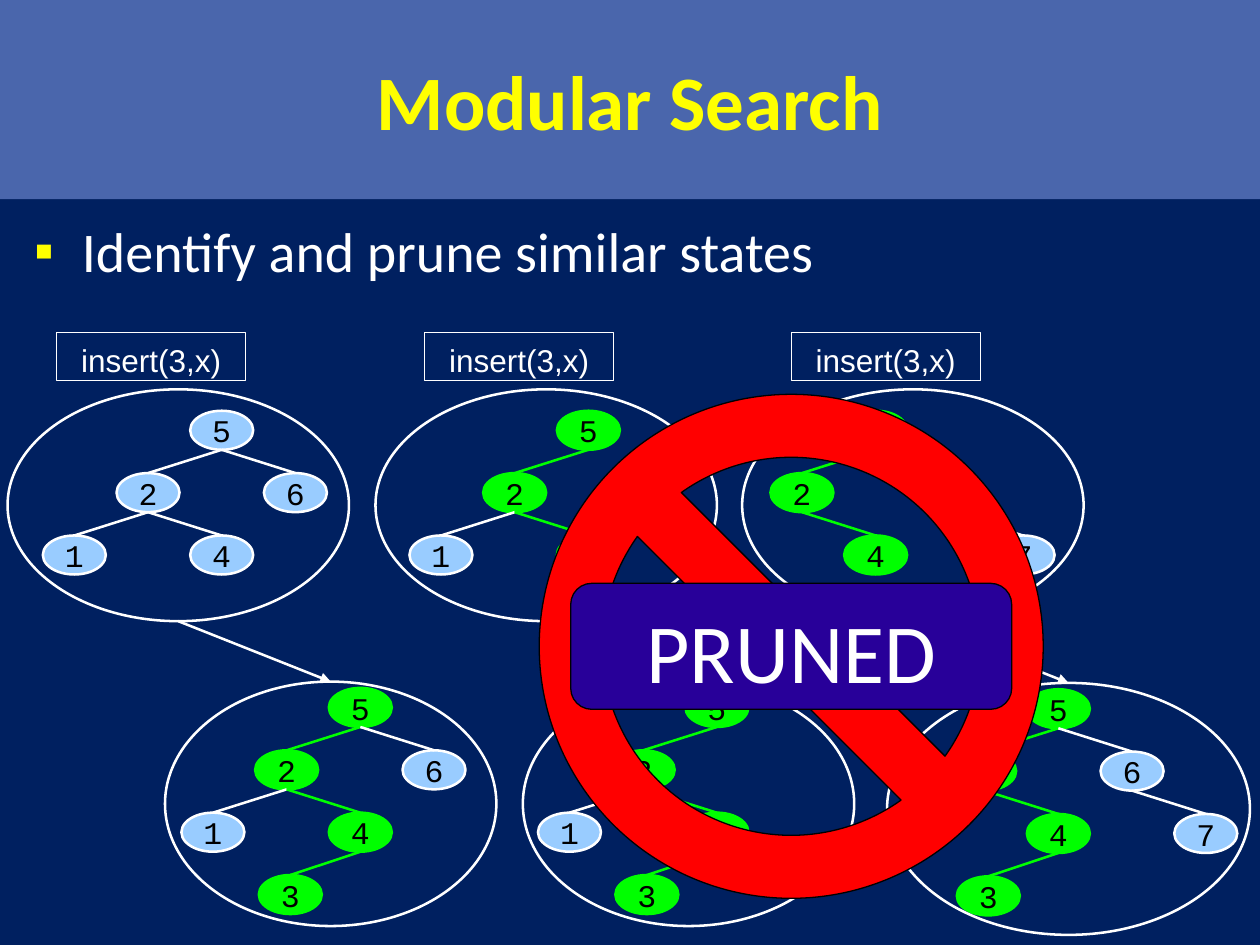
from dataclasses import dataclass

from lxml.etree import SubElement
from pptx import Presentation
from pptx.dml.color import RGBColor
from pptx.enum.shapes import MSO_CONNECTOR, MSO_SHAPE
from pptx.enum.text import MSO_ANCHOR, PP_ALIGN
from pptx.oxml.ns import qn
from pptx.util import Inches, Pt


@dataclass(frozen=True)
class Theme:
    background: str = "002060"
    banner: str = "4A66AC"
    accent: str = "FFFF00"
    light: str = "FFFFFF"
    dark: str = "000000"
    node: str = "99CCFF"
    visited: str = "00FF00"
    forbidden: str = "FF0000"
    plate: str = "280099"
    heading_font: str = "Calibri"
    label_font: str = "Arial"
    node_font: str = "Courier New"
    title_size: float = 44
    body_size: float = 32
    label_size: float = 18
    plate_size: float = 48
    thin: float = 0.75
    stroke: float = 1.45


@dataclass(frozen=True)
class Box:
    left: float
    top: float
    width: float
    height: float

    @property
    def center(self):
        return self.left + self.width / 2

    @property
    def bottom(self):
        return self.top + self.height

    def emu(self):
        return [Inches(v) for v in (self.left, self.top, self.width, self.height)]


THEME = Theme()
NODE_W, NODE_H = 0.5, 0.31
COLUMN, ROW = 0.585, 0.495

# Node: column and row relative to the root, parent
TREE = {
    "5": (0, 0, None),
    "2": (-1, 1, "5"),
    "6": (1, 1, "5"),
    "1": (-2, 2, "2"),
    "4": (0, 2, "2"),
    "7": (2, 2, "6"),
    "3": (-0.95, 3, "4"),
}

# Before box and root offset, after box and root offset,
# nodes, visited nodes and unlabelled nodes of the state before
INSERTIONS = [
    (Box(2.98, 3.09, 2.71, 1.84), 1.44, Box(4.15, 5.41, 2.63, 1.94), 1.29, "5214", "524", "4"),
    (Box(5.89, 3.09, 2.71, 1.84), 0.81, Box(7.04, 5.42, 2.88, 2), 1.11, "52647", "524", "56"),
    (Box(0.06, 3.09, 2.71, 1.84), 1.45, Box(1.31, 5.41, 2.63, 1.94), 1.3, "52614", "", ""),
]


def rgb(color):
    return RGBColor.from_string(color)


def style_font(paragraph, font_name, size, color, bold=False):
    font = paragraph.font
    font.name, font.size, font.bold = font_name, Pt(size), bold
    font.color.rgb = rgb(color)


def add_outline(slide, preset, box, fill, line, width):
    shape = slide.shapes.add_shape(preset, *box.emu())
    shape.shadow.inherit = False
    if fill:
        shape.fill.solid()
        shape.fill.fore_color.rgb = rgb(fill)
    else:
        shape.fill.background()
    shape.line.color.rgb = rgb(line)
    shape.line.width = Pt(width)
    return shape


def write(shape, text, font_name, size, color, top, bottom, anchor=MSO_ANCHOR.MIDDLE, wrap=False):
    frame = shape.text_frame
    frame.text = text
    frame.word_wrap = wrap
    frame.vertical_anchor = anchor
    frame.margin_left = frame.margin_right = Inches(0.1)
    frame.margin_top, frame.margin_bottom = Inches(top), Inches(bottom)
    frame.paragraphs[0].alignment = PP_ALIGN.CENTER
    style_font(frame.paragraphs[0], font_name, size, color)


def add_link(slide, upper, lower, color, arrow=False):
    """Join the bottom of one box to the top of another."""
    ends = (upper.center, upper.bottom, lower.center, lower.top)
    link = slide.shapes.add_connector(MSO_CONNECTOR.STRAIGHT, *[Inches(v) for v in ends])
    link.line.color.rgb = rgb(color)
    link.line.width = Pt(THEME.stroke)
    if arrow:
        SubElement(link.line._get_or_add_ln(), qn("a:tailEnd"), type="triangle")
    SubElement(link._element.spPr, qn("a:effectLst"))


def add_title(slide, box):
    title = slide.shapes.title
    title.left, title.top, title.width, title.height = box.emu()
    title.fill.solid()
    title.fill.fore_color.rgb = rgb(THEME.banner)
    title.text_frame.text = "Modular Search"
    title.text_frame.vertical_anchor = MSO_ANCHOR.MIDDLE
    heading = title.text_frame.paragraphs[0]
    heading.alignment = PP_ALIGN.CENTER
    style_font(heading, THEME.heading_font, THEME.title_size, THEME.accent, bold=True)


def add_body(slide, box):
    body = slide.placeholders[1]
    body.left, body.top, body.width, body.height = box.emu()
    body.text_frame.text = "Identify and prune similar states"
    point = body.text_frame.paragraphs[0]
    point.space_before = Pt(0)
    properties = point._p.get_or_add_pPr()
    properties.set("marL", str(Inches(0.38)))
    properties.set("indent", str(-Inches(0.38)))
    bullet_color = SubElement(properties, qn("a:buClr"))
    SubElement(bullet_color, qn("a:srgbClr"), val=THEME.accent)
    SubElement(properties, qn("a:buFont"), typeface=THEME.label_font)
    SubElement(properties, qn("a:buChar"), char="▪")
    style_font(point, THEME.heading_font, THEME.body_size, THEME.light)


def add_state(slide, box, root_left, root_top, nodes, visited, unlabelled=""):
    """Draw a search tree inside its oval."""
    places = {}
    for key in nodes:
        column, row, parent = TREE[key]
        place = Box(box.left + root_left + column * COLUMN,
                    box.top + root_top + row * ROW, NODE_W, NODE_H)
        places[key] = place
        fill, line = ((THEME.visited, THEME.visited) if key in visited
                      else (THEME.node, THEME.light))
        node = add_outline(slide, MSO_SHAPE.OVAL, place, fill, line, THEME.stroke)
        if key not in unlabelled:
            write(node, key, THEME.node_font, THEME.label_size, THEME.dark, 0.06, 0.06)
        if parent:
            add_link(slide, places[parent], place, line)
    add_outline(slide, MSO_SHAPE.OVAL, box, None, THEME.light, THEME.stroke)


def add_insertion(slide, before, before_root, after, after_root, nodes, visited, unlabelled):
    """Draw the call, the state before it and the state after it."""
    call_box = Box(before.left + 0.39, before.top - 0.45, 1.5, 0.38)
    call = add_outline(slide, MSO_SHAPE.RECTANGLE, call_box, None, THEME.light, THEME.thin)
    write(call, "insert(3,x)", THEME.label_font, THEME.label_size, THEME.light,
          0.07, 0.05, MSO_ANCHOR.TOP, wrap=True)
    add_state(slide, before, before_root, 0.17, nodes, visited, unlabelled)
    add_state(slide, after, after_root, 0.05, nodes + "3", "5243")
    add_link(slide, before, after, THEME.light, arrow=True)


def add_pruned_sign(slide, box):
    sign = add_outline(slide, MSO_SHAPE.NO_SYMBOL, box, THEME.forbidden, THEME.dark, THEME.thin)
    sign.adjustments[0] = 0.125
    plate_box = Box(box.left + 0.25, box.top + 1.5, box.width - 0.5, 1)
    plate = add_outline(slide, MSO_SHAPE.ROUNDED_RECTANGLE, plate_box,
                        THEME.plate, THEME.dark, THEME.thin)
    write(plate, "PRUNED", THEME.heading_font, THEME.plate_size, THEME.light, 0.1, 0.05)


def main():
    deck = Presentation()
    deck.slide_width, deck.slide_height = Inches(10), Inches(7.5)
    slide = deck.slides.add_slide(deck.slide_layouts[1])
    slide.background.fill.solid()
    slide.background.fill.fore_color.rgb = rgb(THEME.background)

    add_title(slide, Box(0, 0, 10, 1.58))
    add_body(slide, Box(0.17, 1.67, 9.67, 5.75))
    for insertion in INSERTIONS:
        add_insertion(slide, *insertion)
    add_pruned_sign(slide, Box(4.28, 3.13, 4, 4))
    deck.save("out.pptx")


if __name__ == "__main__":
    main()
